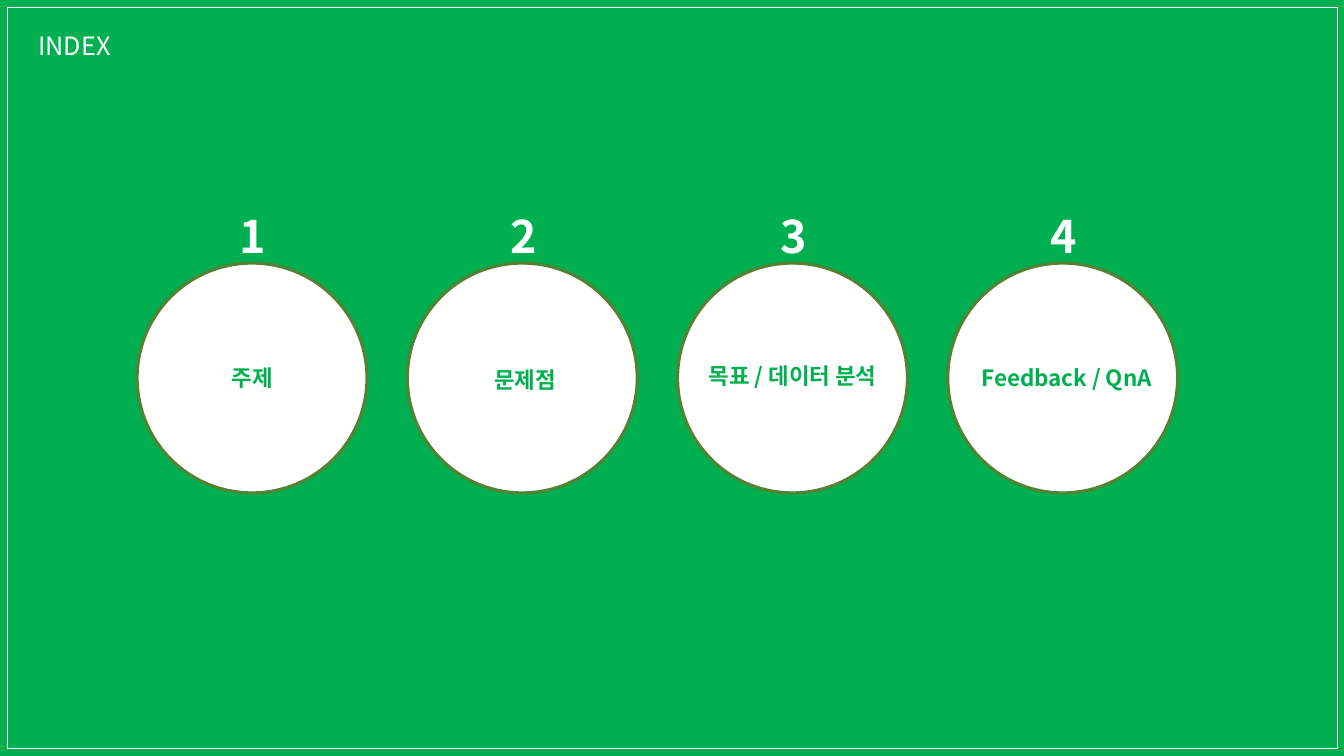
from pptx import Presentation
from pptx.dml.color import RGBColor
from pptx.enum import shapes, text
from pptx.util import Pt

PX = 9144  # EMU per px, 100 px to the inch
WIDTH, HEIGHT = 1333, 750
GREEN = RGBColor(0x00, 0xB0, 0x50)
OLIVE = RGBColor(0x54, 0x82, 0x35)
WHITE = RGBColor(0xFF, 0xFF, 0xFF)

# label, left, top, width
TOPICS = [
    ("주제", 219, 356, 63),
    ("문제점", 479, 358, 84),
    ("목표 / 데이터 분석", 685, 354, 202),
    ("Feedback / QnA", 962, 356, 192),
]
LEFT, TOP, SIZE, STEP = 136, 261, 228, 268


class Page:
    font = "Noto Sans CJK KR"
    kinds = shapes.MSO_SHAPE

    def __init__(self, deck):
        self.slide = deck.slides.add_slide(deck.slide_layouts[5])
        self.shapes = self.slide.shapes

    def shape(self, kind, box, fill=None, line=None, weight=1):
        item = self.shapes.add_shape(kind, *(n * PX for n in box))
        item.shadow.inherit = False
        if fill is None:
            item.fill.background()
        else:
            item.fill.solid()
            item.fill.fore_color.rgb = fill
        if line is None:
            item.line.fill.background()
        else:
            item.line.color.rgb = line
            item.line.width = Pt(weight)

    def style(self, item, words, size, color, bold, align):
        frame = item.text_frame
        frame.text = words
        frame.word_wrap = False
        frame.auto_size = text.MSO_AUTO_SIZE.SHAPE_TO_FIT_TEXT
        frame.vertical_anchor = text.MSO_ANCHOR.TOP
        para = frame.paragraphs[0]
        para.alignment = align
        font = para.runs[0].font
        font.name, font.size, font.bold = self.font, Pt(size), bold
        font.color.rgb = color

    def label(self, words, box, size, color):
        item = self.shapes.add_textbox(*(n * PX for n in box))
        self.style(item, words, size, color, True, text.PP_ALIGN.CENTER)

    def title(self, words, box, size, color):
        """Fill the title placeholder and bring it to the front."""
        item = self.shapes.title
        item.left, item.top, item.width, item.height = (n * PX for n in box)
        self.style(item, words, size, color, False, text.PP_ALIGN.LEFT)
        self.shapes.element.append(item.element)


def main():
    deck = Presentation()
    deck.slide_width, deck.slide_height = WIDTH * PX, HEIGHT * PX
    page = Page(deck)
    page.shape(page.kinds.RECTANGLE, (0, 0, WIDTH, HEIGHT), GREEN)
    page.shape(page.kinds.RECTANGLE, (7, 7, 1319, 735), None, WHITE, 0.5)
    for i, (words, left, top, width) in enumerate(TOPICS):
        x = LEFT + i * STEP
        page.shape(page.kinds.OVAL, (x, TOP, SIZE, SIZE), WHITE, OLIVE, 2.25)
        page.label(str(i + 1), (x + 92, 202, 45, 64), 32, WHITE)
        page.label(words, (left, top, width, 37), 16, GREEN)
    page.title("INDEX", (28, 25, 98, 40), 18, WHITE)
    deck.save("out.pptx")


if __name__ == "__main__":
    main()
